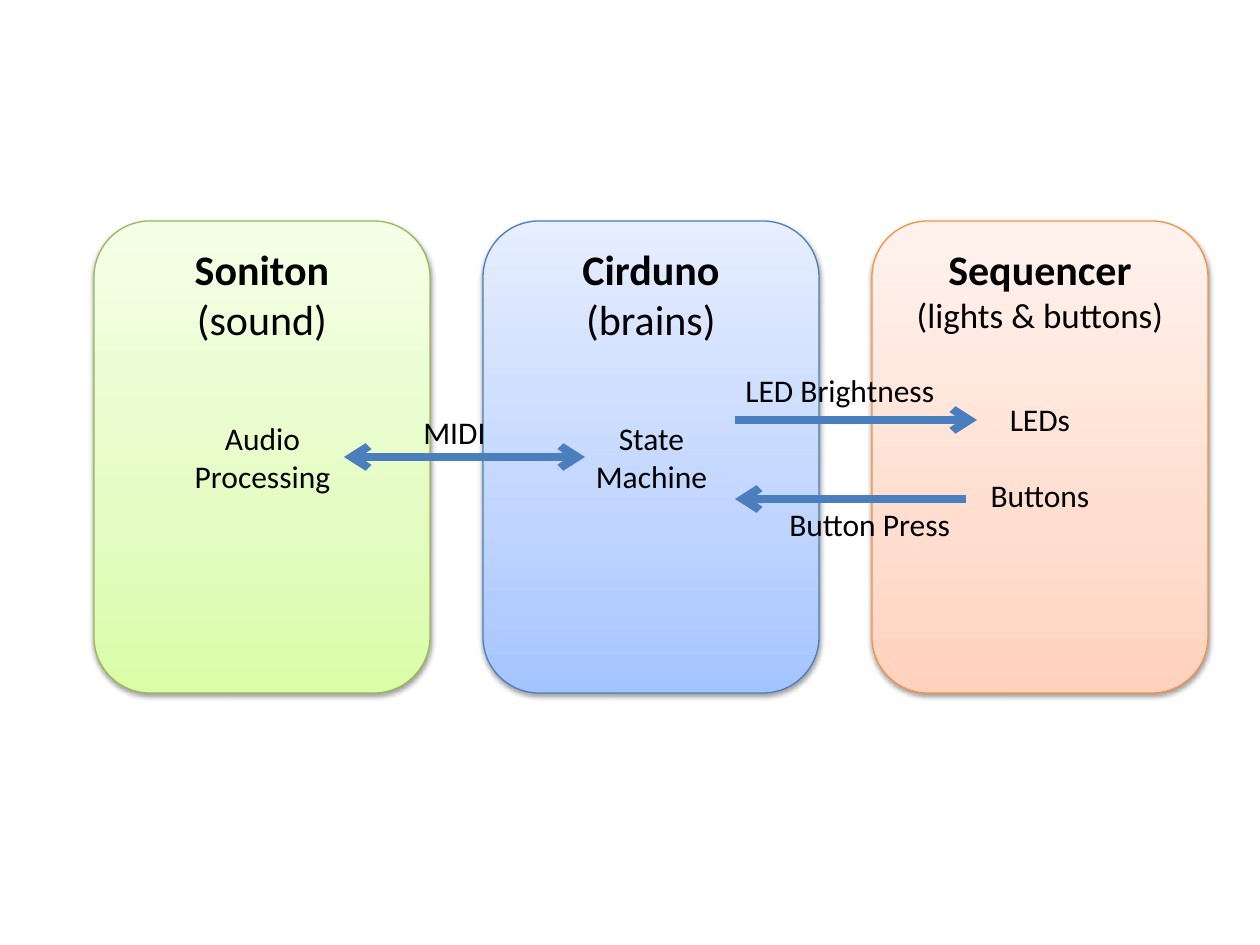
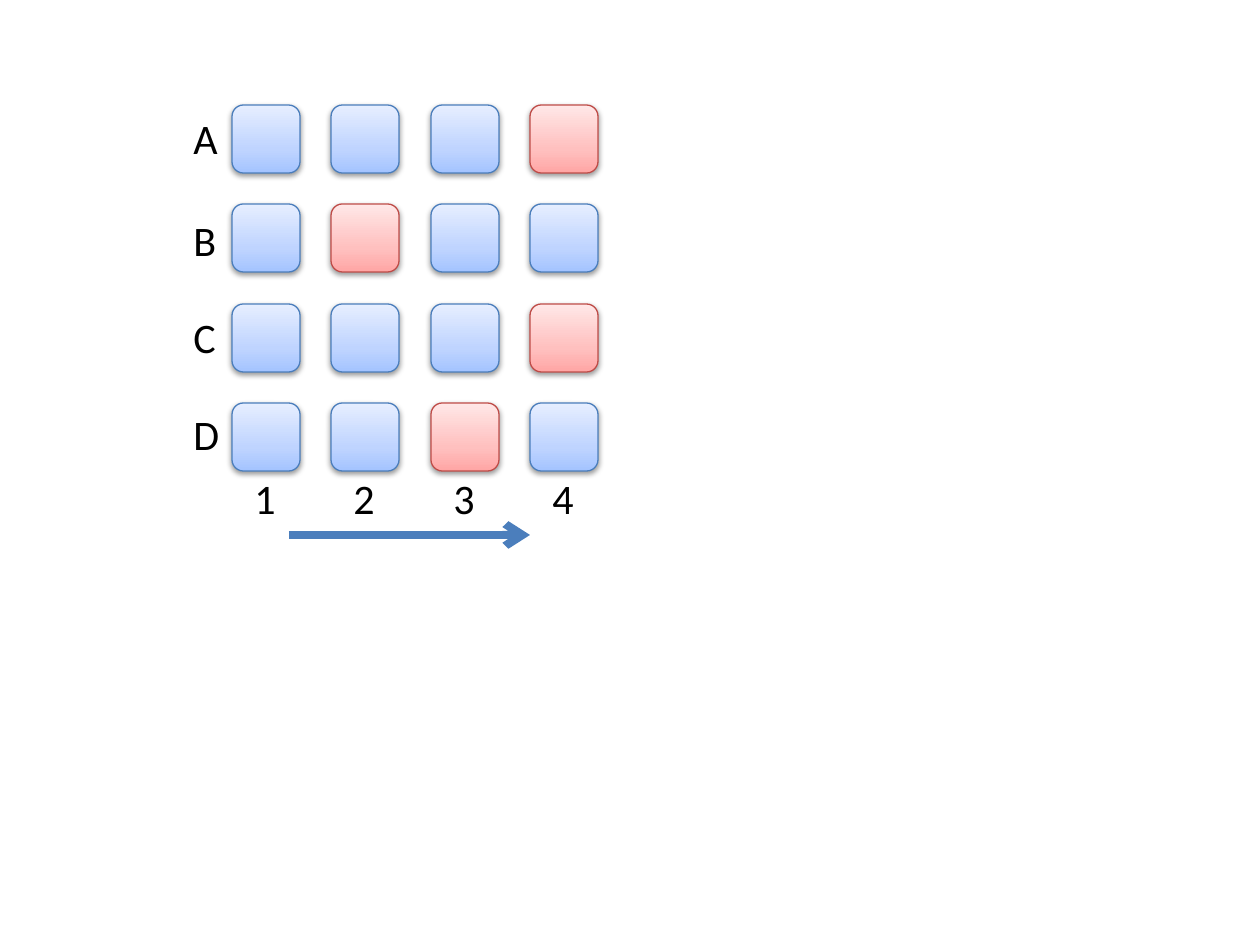
from copy import deepcopy

from lxml.etree import SubElement
from pptx import Presentation
from pptx.dml.color import RGBColor
from pptx.enum.shapes import MSO_CONNECTOR, MSO_SHAPE
from pptx.enum.text import MSO_ANCHOR, MSO_AUTO_SIZE, PP_ALIGN
from pptx.oxml.ns import qn
from pptx.util import Emu, Pt

# Shared look
PIXEL = 914400 / 126
FONT = "Calibri"
BLACK = "000000"
ARROW_COLOR = "4B7EBC"
STOP_POSITIONS = (0, 0.35, 1)
# Each theme: gradient colours from bottom to top, then the outline
THEMES = {
    "green": (("DAFDA7", "E4FCC2", "F5FFE7"), "98B955"),
    "blue": (("A4C4FF", "BFD4FF", "E6EEFF"), "4B7EBC"),
    "orange": (("FFD2BD", "FFDED0", "FFF2ED"), "F69240"),
    "red": (("FFA6A5", "FFC0BF", "FFE7E7"), "BF4C48"),
}

# Slide 1: system overview
CARDS = [  # theme, name, role, role size
    ("green", "Soniton", "(sound)", 24),
    ("blue", "Cirduno", "(brains)", 24),
    ("orange", "Sequencer", "(lights & buttons)", 20),
]
CARD_LEFT, CARD_TOP, CARD_WIDTH, CARD_HEIGHT, CARD_STEP = 94, 221, 336, 472, 389
PARTS = [  # lines, left, top, width, height, gap between lines in points
    (("LEDs", "Buttons"), 977, 394, 126, 127, 22),
    (("State", "Machine"), 582, 413, 139, 89, 0),
    (("Audio", "Processing"), 181, 413, 163, 89, 0),
]
SIGNALS = [  # start x, end x, y, arrowheads at
    (735, 977, 420, ("tail",)),
    (966, 735, 499, ("tail",)),
    (344, 585, 457, ("head", "tail")),
]
SIGNAL_LABELS = [  # text, left, top, width, height
    ("MIDI", 411, 407, 88, 50),
    ("LED Brightness", 733, 365, 217, 50),
    ("Button Press", 777, 499, 189, 50),
]

# Slide 2: step grid
ROWS = [("A", 106), ("B", 208), ("C", 305), ("D", 402)]  # label, label top
COLUMNS = ["1", "2", "3", "4"]
ACTIVE = {"A4", "B2", "C4", "D3"}
GRID_LEFT, GRID_TOP, GRID_SPAN, CELL = 232, 105, 298, 68
ROW_LABEL_LEFT, COLUMN_LABEL_TOP = 181, 466


def px(length):
    """Turn picture pixels into EMU."""
    return Emu(round(length * PIXEL))


def color(value):
    """Turn a hex string into a colour."""
    return RGBColor.from_string(value)


def style_paragraph(para, size, align=PP_ALIGN.LEFT, bold=False):
    """Set the font and alignment of a whole paragraph."""
    para.alignment = align
    para.font.name = FONT
    para.font.size = Pt(size)
    para.font.bold = bold
    para.font.color.rgb = color(BLACK)


def add_label(page, lines, left, top, width, height, size=18,
              align=PP_ALIGN.LEFT, gap=0):
    """Add an unwrapped text box with one paragraph per line."""
    box = page.shapes.add_textbox(px(left), px(top), px(width), px(height))
    frame = box.text_frame
    frame.word_wrap = False
    frame.auto_size = MSO_AUTO_SIZE.SHAPE_TO_FIT_TEXT
    frame.text = "\n".join(lines)
    for index, para in enumerate(frame.paragraphs):
        style_paragraph(para, size, align)
        if index and gap:
            para.space_before = Pt(gap)


def add_shadow(shape):
    """Give a shape a soft shadow straight below it."""
    shape.shadow.inherit = False
    effects = shape._element.spPr.find(qn("a:effectLst"))
    shadow = SubElement(effects, qn("a:outerShdw"), blurRad=str(Pt(3.1)),
                        dist=str(Pt(1.6)), dir="5400000", rotWithShape="0")
    tint = SubElement(shadow, qn("a:srgbClr"), val=BLACK)
    SubElement(tint, qn("a:alpha"), val="38000")


def add_tile(page, theme, left, top, width, height):
    """Add a rounded, shaded and outlined tile."""
    stop_colors, outline = THEMES[theme]
    tile = page.shapes.add_shape(MSO_SHAPE.ROUNDED_RECTANGLE, px(left), px(top),
                                 px(width), px(height))
    tile.fill.gradient()
    tile.fill.gradient_angle = 90
    stop_list = tile._element.spPr.find(qn("a:gradFill")).find(qn("a:gsLst"))
    stop_list.append(deepcopy(stop_list[-1]))
    for stop, position, value in zip(tile.fill.gradient_stops, STOP_POSITIONS,
                                     stop_colors):
        stop.position = position
        stop.color.rgb = color(value)
    tile.line.color.rgb = color(outline)
    tile.line.width = Pt(0.75)
    add_shadow(tile)
    return tile


def add_arrow(page, start, end, y, ends=("tail",)):
    """Add a thick horizontal arrow with heads at the given ends."""
    arrow = page.shapes.add_connector(MSO_CONNECTOR.STRAIGHT, px(start), px(y),
                                      px(end), px(y))
    arrow.line.color.rgb = color(ARROW_COLOR)
    arrow.line.width = Pt(4.5)
    outline = arrow.line._get_or_add_ln()
    for end_name in ends:
        SubElement(outline, qn(f"a:{end_name}End"), type="arrow")
    SubElement(arrow._element.spPr, qn("a:effectLst"))


def build_overview(page):
    """Draw the three system cards and the signals between them."""
    for index, (theme, name, role, role_size) in enumerate(CARDS):
        card = add_tile(page, theme, CARD_LEFT + index * CARD_STEP, CARD_TOP,
                        CARD_WIDTH, CARD_HEIGHT)
        frame = card.text_frame
        frame.vertical_anchor = MSO_ANCHOR.TOP
        frame.text = f"{name}\n{role}"
        heading, subtitle = frame.paragraphs
        style_paragraph(heading, 24, PP_ALIGN.CENTER, bold=True)
        style_paragraph(subtitle, role_size, PP_ALIGN.CENTER)
    for lines, left, top, width, height, gap in PARTS:
        add_label(page, lines, left, top, width, height,
                  align=PP_ALIGN.CENTER, gap=gap)
    for signal in SIGNALS:
        add_arrow(page, *signal)
    for text, *place in SIGNAL_LABELS:
        add_label(page, [text], *place)


def build_grid(page):
    """Draw the step grid with its labels and direction arrow."""
    add_arrow(page, 289, 530, 535)
    offsets = [round(GRID_SPAN * index / (len(COLUMNS) - 1))
               for index in range(len(COLUMNS))]
    for column, x in zip(COLUMNS, offsets):
        for (row, _), y in zip(ROWS, offsets):
            theme = "red" if row + column in ACTIVE else "blue"
            add_tile(page, theme, GRID_LEFT + x, GRID_TOP + y, CELL, CELL)
    for column, x in zip(COLUMNS, offsets):
        add_label(page, [column], GRID_LEFT + x + 10, COLUMN_LABEL_TOP, 47, 63,
                  size=24)
    for row, top in ROWS:
        add_label(page, [row], ROW_LABEL_LEFT, top, 50, 63, size=24)


deck = Presentation()
deck.slide_width, deck.slide_height = px(1260), px(945)
for build in (build_overview, build_grid):
    build(deck.slides.add_slide(deck.slide_layouts[6]))
deck.save("out.pptx")
